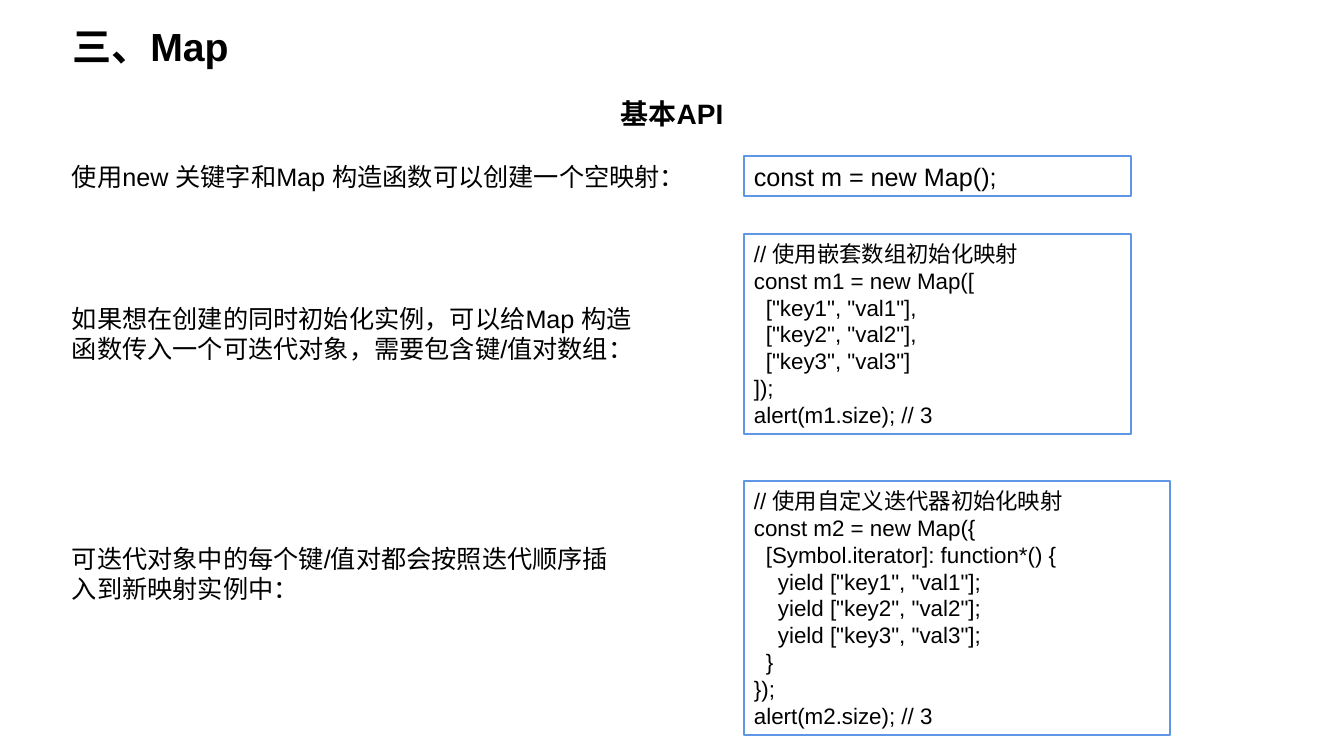
from pptx import Presentation
from pptx.dml.color import RGBColor
from pptx.enum.shapes import MSO_SHAPE
from pptx.enum.text import MSO_ANCHOR, MSO_AUTO_SIZE, PP_ALIGN
from pptx.util import Emu, Pt

SCALE = 914400 / 100.8
FONT = "Arial"
COLORS = {"text": "000000", "fill": "FFFFFF", "border": "6096E6"}
TEXT_LEFT, CODE_LEFT = 62, 744
INDENT = 12

EXPLANATIONS = [
    ("使用new 关键字和Map 构造函数可以创建一个空映射：", 156, 1003, 40),
    ("如果想在创建的同时初始化实例，可以给Map 构造函数传入一个可迭代对象，需要包含键/值对数组：",
     298, 602, 72),
    ("可迭代对象中的每个键/值对都会按照迭代顺序插入到新映射实例中：", 538, 575, 72),
]

EMPTY_MAP = [(0, "const m = new Map();")]
ARRAY_MAP = [
    (0, "// 使用嵌套数组初始化映射"),
    (0, "const m1 = new Map(["),
    (1, '["key1", "val1"],'),
    (1, '["key2", "val2"],'),
    (1, '["key3", "val3"]'),
    (0, "]);"),
    (0, "alert(m1.size); // 3"),
]
ITERATOR_MAP = [
    (0, "// 使用自定义迭代器初始化映射"),
    (0, "const m2 = new Map({"),
    (1, "[Symbol.iterator]: function*() {"),
    (2, 'yield ["key1", "val1"];'),
    (2, 'yield ["key2", "val2"];'),
    (2, 'yield ["key3", "val3"];'),
    (1, "}"),
    (0, "});"),
    (0, "alert(m2.size); // 3"),
]
CODE_BLOCKS = [
    (EMPTY_MAP, 18, 156, 387, 40),
    (ARRAY_MAP, 16, 234, 387, 200),
    (ITERATOR_MAP, 16, 481, 426, 254),
]


def px(value):
    return Emu(round(value * SCALE))


def color(name):
    return RGBColor.from_string(COLORS[name])


def place(shape, left, top, width, height):
    shape.left, shape.top = px(left), px(top)
    shape.width, shape.height = px(width), px(height)


def format_text(shape, size, bold=False, align=PP_ALIGN.LEFT, anchor=MSO_ANCHOR.TOP):
    text_frame = shape.text_frame
    text_frame.word_wrap = True
    text_frame.auto_size = MSO_AUTO_SIZE.SHAPE_TO_FIT_TEXT
    text_frame.vertical_anchor = anchor
    for paragraph in text_frame.paragraphs:
        paragraph.alignment = align
        for run in paragraph.runs:
            run.font.name = FONT
            run.font.size = Pt(size)
            run.font.bold = bold
            run.font.color.rgb = color("text")


def add_title(slide, text):
    title = slide.shapes.title
    place(title, TEXT_LEFT, 17, 681, 57)
    title.text_frame.text = text
    format_text(title, 28, bold=True)


def add_text(slide, text, left, top, width, height, size=18, **style):
    box = slide.shapes.add_textbox(px(left), px(top), px(width), px(height))
    box.text_frame.text = text
    format_text(box, size, **style)
    return box


def add_code(slide, lines, size, top, width, height):
    shape = slide.shapes.add_shape(
        MSO_SHAPE.RECTANGLE, px(CODE_LEFT), px(top), px(width), px(height))
    shape.shadow.inherit = False
    shape.fill.solid()
    shape.fill.fore_color.rgb = color("fill")
    shape.line.color.rgb = color("border")
    shape.line.width = Pt(1)
    shape.text_frame.text = "\n".join(text for _, text in lines)
    for paragraph, (level, _) in zip(shape.text_frame.paragraphs, lines):
        if level:
            paragraph._p.get_or_add_pPr().set("marL", str(px(level * INDENT)))
    format_text(shape, size, anchor=MSO_ANCHOR.MIDDLE)


def main():
    presentation = Presentation()
    presentation.slide_width = px(1344)
    presentation.slide_height = px(756)
    slide = presentation.slides.add_slide(presentation.slide_layouts[5])

    add_title(slide, "三、Map")
    heading = add_text(slide, "基本API", 53, 75, 1238, 60, size=20,
                       bold=True, align=PP_ALIGN.CENTER)
    heading.text_frame.paragraphs[0].line_spacing = 1.5
    for text, top, width, height in EXPLANATIONS:
        add_text(slide, text, TEXT_LEFT, top, width, height)
    for block in CODE_BLOCKS:
        add_code(slide, *block)

    presentation.save("out.pptx")


main()
